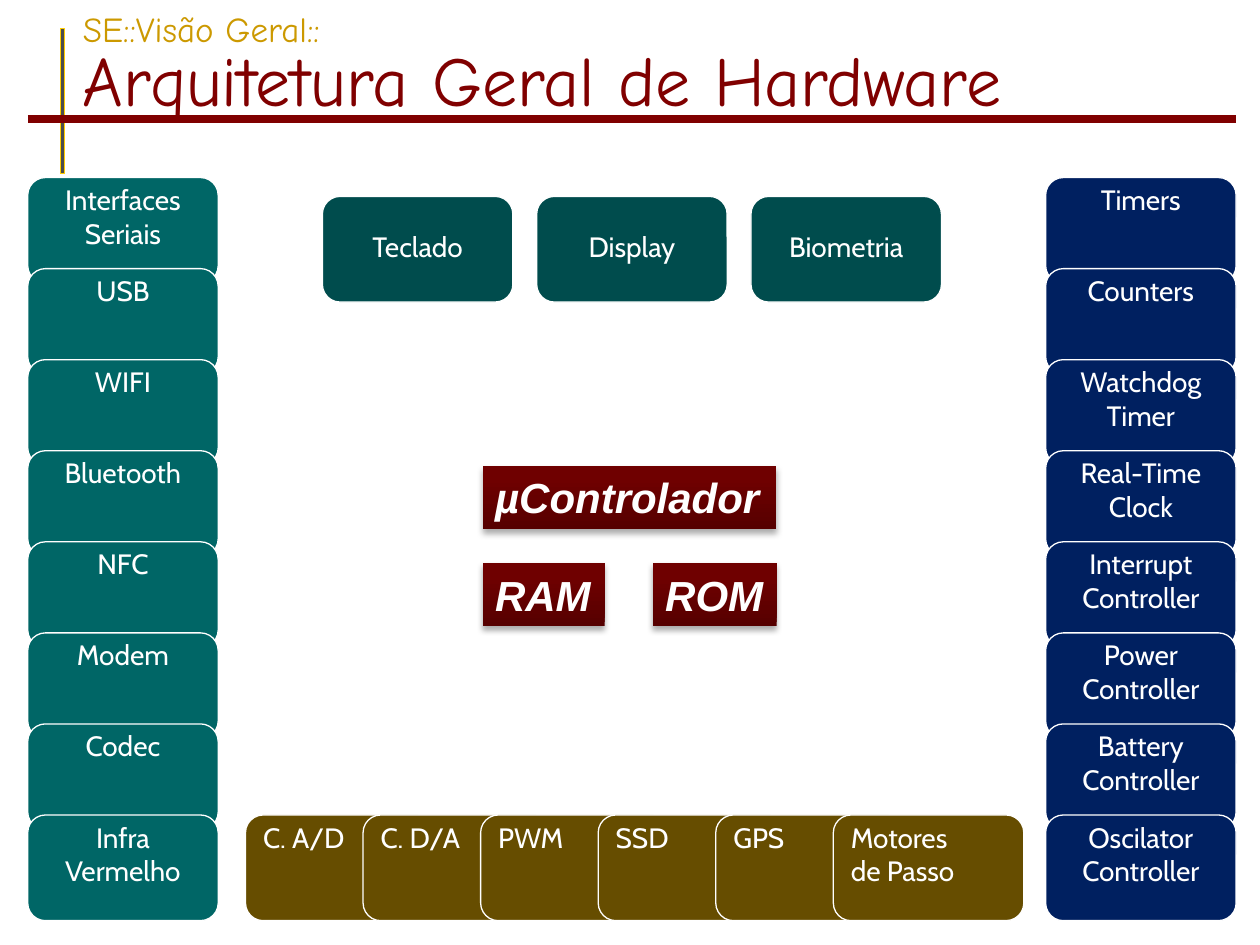
from lxml.etree import SubElement
from pptx import Presentation
from pptx.dml.color import RGBColor
from pptx.enum.shapes import MSO_CONNECTOR as Connector, MSO_SHAPE as Shape
from pptx.enum.text import MSO_ANCHOR as Anchor, PP_ALIGN as Align
from pptx.oxml import parse_xml
from pptx.oxml.ns import nsdecls, qn
from pptx.util import Cm, Pt

WHITE = "FFFFFF"
MAROON = "800000"
BLOCK_WIDTH, BLOCK_HEIGHT = 3.84, 2.13
COLUMN_TOP, BOTTOM_ROW = 3.58, 16.43
COLUMN_STEP = (BOTTOM_ROW - COLUMN_TOP) / 7
CHIP_GRADIENT = ((0, "560000"), (80, "6F0000"), (100, "700000"))

SERIAL_BLOCKS = ("Interfaces Seriais", "USB", "WIFI", "Bluetooth", "NFC",
                 "Modem", "Codec", "Infra Vermelho")
CONTROL_BLOCKS = ("Timers", "Counters", "Watchdog\nTimer", "Real-Time Clock",
                  "Interrupt Controller", "Power\nController",
                  "Battery\nController", "Oscilator\nController")
PERIPHERAL_BLOCKS = ("C. A/D", "C. D/A", "PWM", "SSD", "GPS",
                     "Motores\nde Passo")
USER_BLOCKS = ("Teclado", "Display", "Biometria")
CHIPS = (("µControlador", 9.73, 9.39, 5.92),
         ("RAM", 9.73, 11.35, 2.46),
         ("ROM", 13.16, 11.35, 2.5))


def color(value):
    return RGBColor.from_string(value)


def add_run(para, text, font, size, fill, emphasis=None):
    span = para.add_run()
    span.text = text
    span.font.name = font
    span.font.size = Pt(size)
    span.font.color.rgb = color(fill)
    span.font.bold = span.font.italic = emphasis


def add_title(page):
    box = page.shapes.add_textbox(Cm(1.42), Cm(-0.23), Cm(23.98), Cm(3.18))
    frame = box.text_frame
    frame.word_wrap = True
    frame.vertical_anchor = Anchor.MIDDLE
    para = frame.paragraphs[0]
    para.line_spacing = 0.85
    add_run(para, "SE::Visão Geral::", "Comic Neue", 20, "CC9900")
    para.add_line_break()
    add_run(para, "Arquitetura Geral de Hardware", "Comic Neue", 40, MAROON)


def add_title_rules(page):
    bar = page.shapes.add_shape(Shape.RECTANGLE, Cm(1.22), Cm(0.58), Cm(0.08), Cm(2.92))
    bar.shadow.inherit = False
    bar.fill.solid()
    bar.fill.fore_color.rgb = color("4D4D4D")
    bar.line.color.rgb = color("FFCC00")
    bar.line.width = Pt(0.75)
    rule = page.shapes.add_connector(Connector.STRAIGHT, Cm(0.56), Cm(2.39), Cm(24.92), Cm(2.39))
    rule.line.color.rgb = color(MAROON)
    rule.line.width = Pt(4.5)
    SubElement(rule._element.spPr, qn("a:effectLst"))


def add_block(page, text, left, top, fill, align=Align.CENTER, anchor=Anchor.TOP):
    block = page.shapes.add_shape(Shape.ROUNDED_RECTANGLE, Cm(left), Cm(top),
                                  Cm(BLOCK_WIDTH), Cm(BLOCK_HEIGHT))
    block.shadow.inherit = False
    block.fill.solid()
    block.fill.fore_color.rgb = color(fill)
    block.line.color.rgb = color(WHITE)
    block.line.width = Pt(0.75)
    frame = block.text_frame
    frame.word_wrap = True
    frame.vertical_anchor = anchor
    frame.margin_top = 0
    para = frame.paragraphs[0]
    para.alignment = align
    for index, words in enumerate(text.split("\n")):
        if index:
            para.add_line_break()
        add_run(para, words, "Cabin", 16, WHITE)


def add_blocks(page, names, left, top, step_x, step_y, fill, **style):
    for index, name in enumerate(names):
        add_block(page, name, left + index * step_x, top + index * step_y, fill, **style)


def set_gradient(shape, stops, angle):
    shape.fill.background()
    properties = shape._element.spPr
    marks = "".join(f'<a:gs pos="{place * 1000}"><a:srgbClr val="{value}"/></a:gs>'
                    for place, value in stops)
    properties.replace(properties.find(qn("a:noFill")), parse_xml(
        f'<a:gradFill {nsdecls("a")}><a:gsLst>{marks}</a:gsLst>'
        f'<a:lin ang="{angle * 60000}" scaled="0"/></a:gradFill>'))


def set_shadow(shape):
    shape.shadow.inherit = False
    shape._element.spPr.find(qn("a:effectLst")).append(parse_xml(
        f'<a:outerShdw {nsdecls("a")} blurRad="{Pt(3.5)}" dist="{Pt(2.2)}" '
        'dir="5400000" rotWithShape="0"><a:srgbClr val="000000">'
        '<a:alpha val="32000"/></a:srgbClr></a:outerShdw>'))


def add_chip(page, text, left, top, width):
    chip = page.shapes.add_shape(Shape.RECTANGLE, Cm(left), Cm(top), Cm(width), Cm(1.28))
    set_gradient(chip, CHIP_GRADIENT, 270)
    chip.line.fill.background()
    set_shadow(chip)
    frame = chip.text_frame
    frame.word_wrap = False
    frame.vertical_anchor = Anchor.TOP
    para = frame.paragraphs[0]
    para.alignment = Align.LEFT
    add_run(para, text, "Arial", 24, WHITE, emphasis=True)


def main():
    deck = Presentation()
    deck.slide_width, deck.slide_height = Cm(25.4), Cm(19.05)
    page = deck.slides.add_slide(deck.slide_layouts[6])
    add_title_rules(page)
    add_title(page)
    add_blocks(page, USER_BLOCKS, 6.5, 3.96, 4.32, 0, "004C4D", anchor=Anchor.MIDDLE)
    add_blocks(page, PERIPHERAL_BLOCKS, 4.95, BOTTOM_ROW, 2.37, 0, "664D00", align=Align.LEFT)
    add_blocks(page, CONTROL_BLOCKS, 21.08, COLUMN_TOP, 0, COLUMN_STEP, "002060")
    add_blocks(page, SERIAL_BLOCKS, 0.56, COLUMN_TOP, 0, COLUMN_STEP, "006666")
    for chip in CHIPS:
        add_chip(page, *chip)
    deck.save("out.pptx")


if __name__ == "__main__":
    main()
